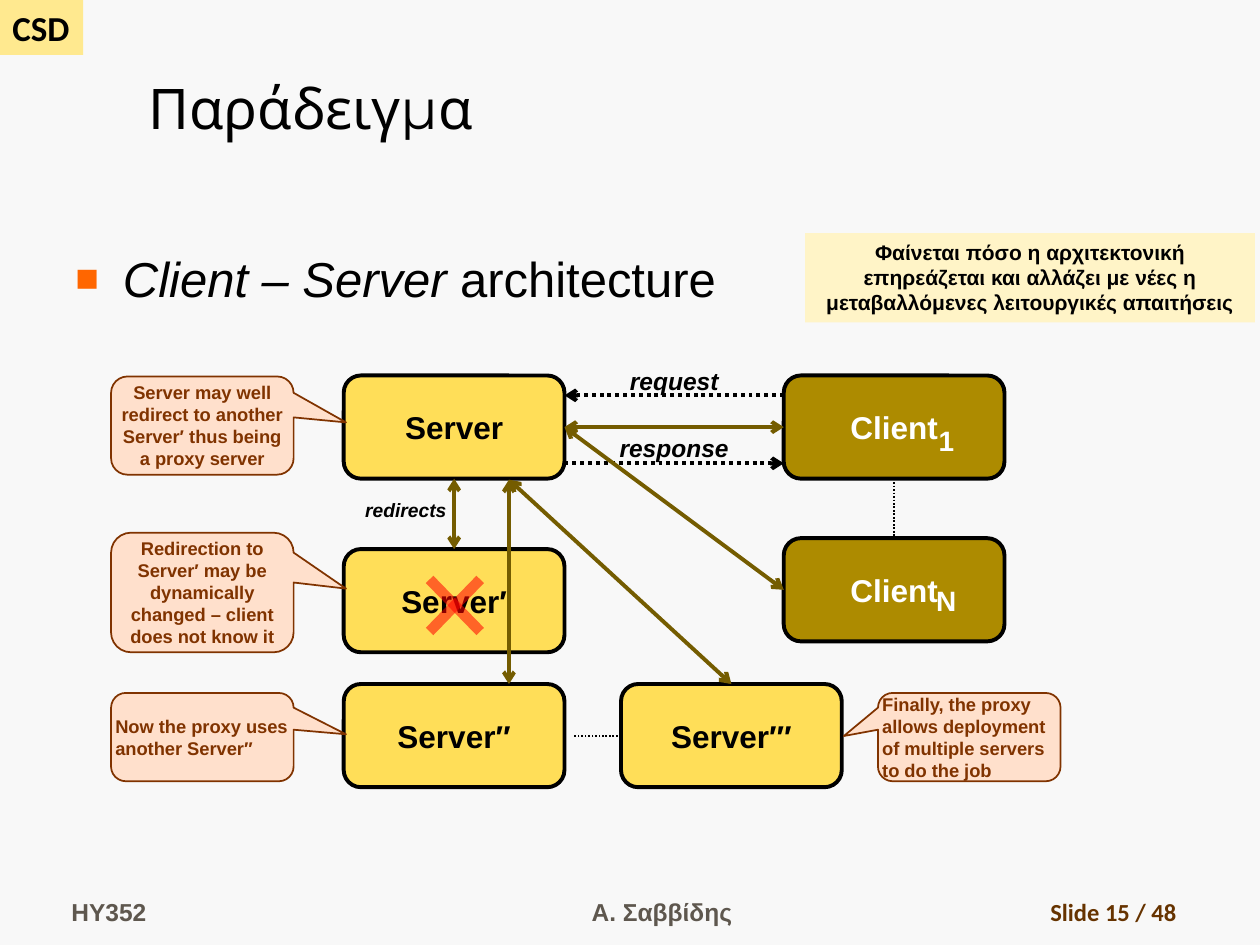
from lxml import etree
from pptx import Presentation
from pptx.dml.color import RGBColor
from pptx.enum.dml import MSO_LINE
from pptx.enum.shapes import MSO_CONNECTOR, MSO_SHAPE
from pptx.enum.text import MSO_ANCHOR, MSO_AUTO_SIZE, PP_ALIGN
from pptx.oxml.ns import qn
from pptx.util import Cm, Pt

RECT = MSO_SHAPE.RECTANGLE
ROUNDED = MSO_SHAPE.ROUNDED_RECTANGLE
CALLOUT = MSO_SHAPE.ROUNDED_RECTANGULAR_CALLOUT
STRAIGHT = MSO_CONNECTOR.STRAIGHT
DOTTED = MSO_LINE.ROUND_DOT
LEFT, CENTER, RIGHT = PP_ALIGN.LEFT, PP_ALIGN.CENTER, PP_ALIGN.RIGHT
TOP, MIDDLE, BOTTOM = MSO_ANCHOR.TOP, MSO_ANCHOR.MIDDLE, MSO_ANCHOR.BOTTOM
SITE_TOP, SITE_LEFT, SITE_BOTTOM, SITE_RIGHT = range(4)

COLORS = {
    "page": "F8F8F8", "badge": "FFE98F", "note": "FFF4C7", "black": "000000",
    "white": "FFFFFF", "server": "FFDE58", "client": "AD8B00", "link": "745C00",
    "callout": "FFE0CC", "rust": "803300", "bullet": "FF6600", "cross": "FF0000",
    "footer": "5E574E", "number": "663300",
}
NODE_WIDTH, NODE_HEIGHT = 4.45, 2.08
CALLOUT_WIDTH = 3.68


def color(name):
    return RGBColor.from_string(COLORS[name])


class Diagram:
    """Holds the current page and draws its elements; lengths are in cm."""

    def __init__(self, page, font="Arial"):
        self.page = page
        self.font = font
        page.background.fill.solid()
        page.background.fill.fore_color.rgb = color("page")

    def set_text(self, box, text, size, ink="black", bold=True, italic=False,
                 align=LEFT, anchor=TOP, wrap=True, grow=False, font=None):
        frame = box.text_frame
        frame.word_wrap = wrap
        frame.auto_size = MSO_AUTO_SIZE.SHAPE_TO_FIT_TEXT if grow else MSO_AUTO_SIZE.NONE
        frame.vertical_anchor = anchor
        para = frame.paragraphs[0]
        para.alignment = align
        para.add_run().text = text
        para.font.name = font or self.font
        para.font.size = Pt(size)
        para.font.bold = bold
        para.font.italic = italic
        para.font.color.rgb = color(ink)

    def text(self, left, top, width, height, text, size, **style):
        box = self.page.shapes.add_textbox(Cm(left), Cm(top), Cm(width), Cm(height))
        self.set_text(box, text, size, **style)

    def label(self, left, top, width, height, text, size, **style):
        self.text(left, top, width, height, text, size, wrap=False, grow=True, **style)

    def shape(self, kind, left, top, width, height, fill, line=None, weight=1):
        box = self.page.shapes.add_shape(kind, Cm(left), Cm(top), Cm(width), Cm(height))
        box.shadow.inherit = False
        box.fill.solid()
        box.fill.fore_color.rgb = color(fill)
        if line:
            box.line.color.rgb = color(line)
            box.line.width = Pt(weight)
        else:
            box.line.fill.background()
        return box

    def node(self, left, top, text, fill="server", ink="black"):
        box = self.shape(ROUNDED, left, top, NODE_WIDTH, NODE_HEIGHT, fill, "black", 2.25)
        self.set_text(box, text, 18, ink, align=CENTER, anchor=MIDDLE, wrap=False)
        return box

    def callout(self, left, top, height, text, align=CENTER, tip=(0.787, -0.032)):
        box = self.shape(CALLOUT, left, top, CALLOUT_WIDTH, height, "callout", "rust")
        box.adjustments[0], box.adjustments[1] = tip
        frame = box.text_frame
        frame.margin_left = frame.margin_right = frame.margin_top = frame.margin_bottom = 0
        self.set_text(box, text, 10.5, "rust", align=align, anchor=MIDDLE)

    def bullet(self, left, top, width, height, lead, rest):
        box = self.page.shapes.add_textbox(Cm(left), Cm(top), Cm(width), Cm(height))
        para = box.text_frame.paragraphs[0]
        props = para._p.get_or_add_pPr()
        props.set("marL", str(Cm(0.96)))
        props.set("indent", str(Cm(-0.96)))
        tint = etree.SubElement(props, qn("a:buClr"))
        etree.SubElement(tint, qn("a:srgbClr"), val=COLORS["bullet"])
        etree.SubElement(props, qn("a:buSzPct"), val="80000")
        etree.SubElement(props, qn("a:buFont"), typeface=self.font)
        etree.SubElement(props, qn("a:buChar"), char="■")
        self.set_text(box, lead, 28, bold=False)
        para.runs[0].font.italic = True
        para.add_run().text = rest

    def line(self, start, end, ink="link", weight=2.25, dash=None, arrows=(), alpha=None):
        """An end is a point (x, y) or a joint (shape, site)."""
        joints = [not isinstance(tip[0], (int, float)) for tip in (start, end)]
        points = [(0, 0) if joint else tip for joint, tip in zip(joints, (start, end))]
        line = self.page.shapes.add_connector(
            STRAIGHT, *[Cm(value) for point in points for value in point])
        if joints[0]:
            line.begin_connect(*start)
        if joints[1]:
            line.end_connect(*end)
        line.line.color.rgb = color(ink)
        line.line.width = Pt(weight)
        if dash:
            line.line.dash_style = dash
        props = line._element.spPr.find(qn("a:ln"))
        for arrow in arrows:
            etree.SubElement(props, qn("a:" + arrow), type="arrow")
        if alpha:
            tint = props.find(".//" + qn("a:srgbClr"))
            etree.SubElement(tint, qn("a:alpha"), val=str(alpha * 1000))
        etree.SubElement(line._element.spPr, qn("a:effectLst"))


def main():
    deck = Presentation()
    deck.slide_width, deck.slide_height = Cm(25.4), Cm(19.05)
    diagram = Diagram(deck.slides.add_slide(deck.slide_layouts[6]))
    both = ("headEnd", "tailEnd")

    # Badge, title, bullet and footer
    badge = diagram.shape(RECT, 0, 0, 1.68, 1.11, "badge")
    diagram.set_text(badge, "CSD", 20, wrap=False, grow=True, font="Calibri")
    diagram.text(2.74, 0.43, 22.66, 2.54, "Παράδειγμα", 32, bold=False,
                 anchor=BOTTOM, font="Montserrat")
    diagram.bullet(1.27, 4.88, 23.06, 1.57, "Client – Server", " architecture")
    diagram.text(1.19, 17.53, 5.56, 1.27, "HY352", 14, ink="footer", anchor=BOTTOM)
    diagram.text(9.32, 17.53, 8.05, 1.27, "Α. Σαββίδης", 14, ink="footer",
                 align=CENTER, anchor=BOTTOM)
    diagram.text(18.69, 17.53, 5.28, 1.27, "Slide 15 / 48", 14, ink="number",
                 align=RIGHT, anchor=BOTTOM, font="Calibri")

    # Servers and clients
    server = diagram.node(6.93, 7.57, "Server")
    proxy = diagram.node(6.93, 11.07, "Server′")
    diagram.node(6.93, 13.79, "Server′′")
    third = diagram.node(12.52, 13.79, "Server′′′")
    first_client = diagram.node(15.8, 7.57, "Client", "client", "white")
    last_client = diagram.node(15.8, 10.85, "Client", "client", "white")
    diagram.label(18.67, 8.41, 0.84, 0.94, "1", 16, ink="white")
    diagram.label(18.62, 11.63, 0.91, 0.94, "N", 16, ink="white")

    # Request and response
    diagram.line((15.8, 7.97), (11.38, 7.97), "black", dash=DOTTED, arrows=["tailEnd"])
    diagram.line((11.38, 9.34), (15.8, 9.34), "black", dash=DOTTED, arrows=["tailEnd"])
    diagram.label(12.45, 7.26, 2.31, 0.86, "request", 14, italic=True)
    diagram.label(12.24, 8.61, 2.72, 0.86, "response", 14, italic=True)
    diagram.label(7.11, 9.93, 2.16, 0.74, "redirects", 11, italic=True)

    # Two-way links
    branch = (10.26, 9.67)
    for start, end in [
        ((server, SITE_RIGHT), (first_client, SITE_LEFT)),
        ((server, SITE_RIGHT), (last_client, SITE_LEFT)),
        ((server, SITE_BOTTOM), (proxy, SITE_TOP)),
        (branch, (10.26, 13.79)),
        (branch, (third, SITE_TOP)),
    ]:
        diagram.line(start, end, arrows=both)

    # Dotted continuations
    diagram.line((first_client, SITE_BOTTOM), (last_client, SITE_TOP), "black", 1, DOTTED)
    diagram.line((third, SITE_LEFT), (11.56, 14.83), "black", 1, DOTTED)

    # Cross over the dropped server
    for start_x, end_x in [(9.68, 8.66), (8.66, 9.68)]:
        diagram.line((start_x, 11.68), (end_x, 12.73), "cross", 6, alpha=54)

    # Callouts and note
    diagram.callout(2.24, 7.59, 1.98,
                    "Server may well redirect to another Server′ thus being a proxy server")
    diagram.callout(2.24, 10.74, 2.41, "Redirection to Server′ may be dynamically "
                    "changed – client does not know it")
    diagram.callout(2.24, 13.97, 1.78, "Now the proxy uses another Server′′", LEFT)
    diagram.callout(17.7, 13.97, 1.78, "Finally, the proxy allows deployment of "
                    "multiple servers to do the job", LEFT, (-0.687, -0.012))
    note = diagram.shape(RECT, 16.23, 4.7, 9.07, 1.8, "note")
    diagram.set_text(note, "Φαίνεται πόσο η αρχιτεκτονική επηρεάζεται και αλλάζει με νέες η "
                     "μεταβαλλόμενες λειτουργικές απαιτήσεις", 12, align=CENTER, grow=True)

    deck.save("out.pptx")


if __name__ == "__main__":
    main()
